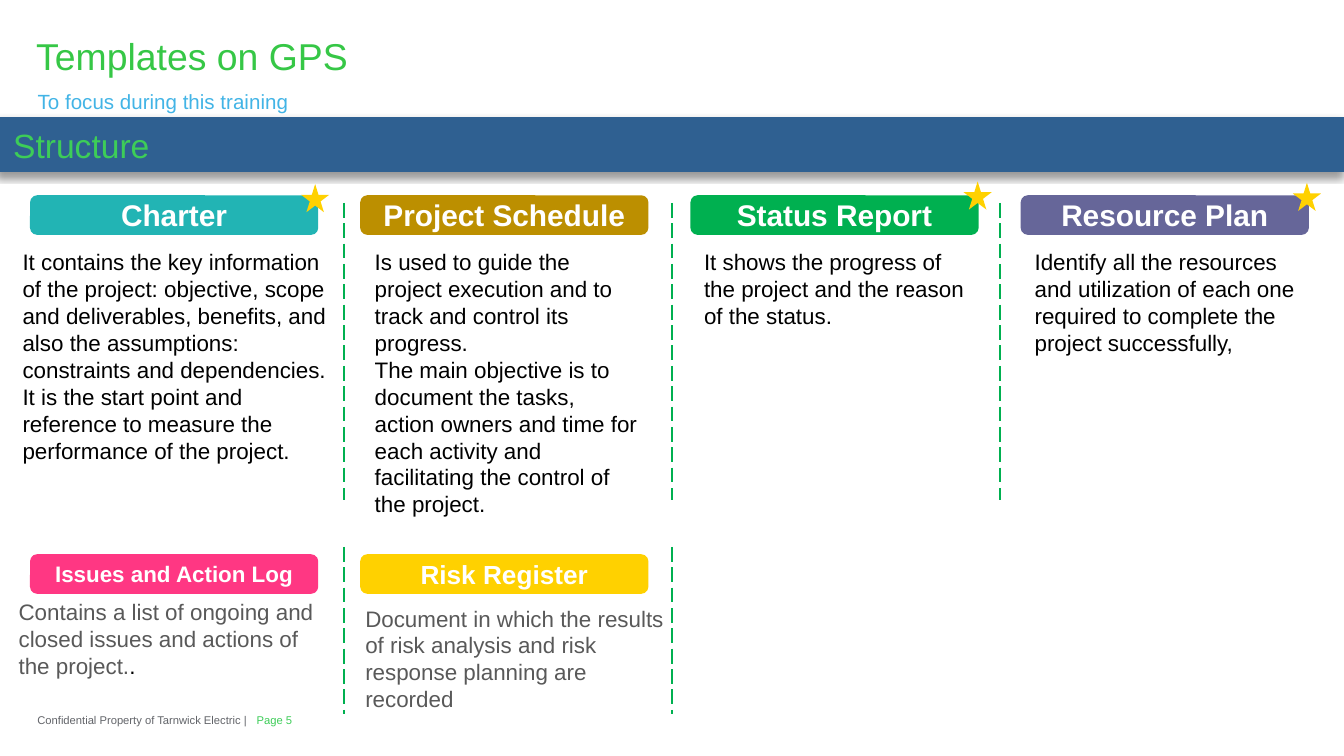
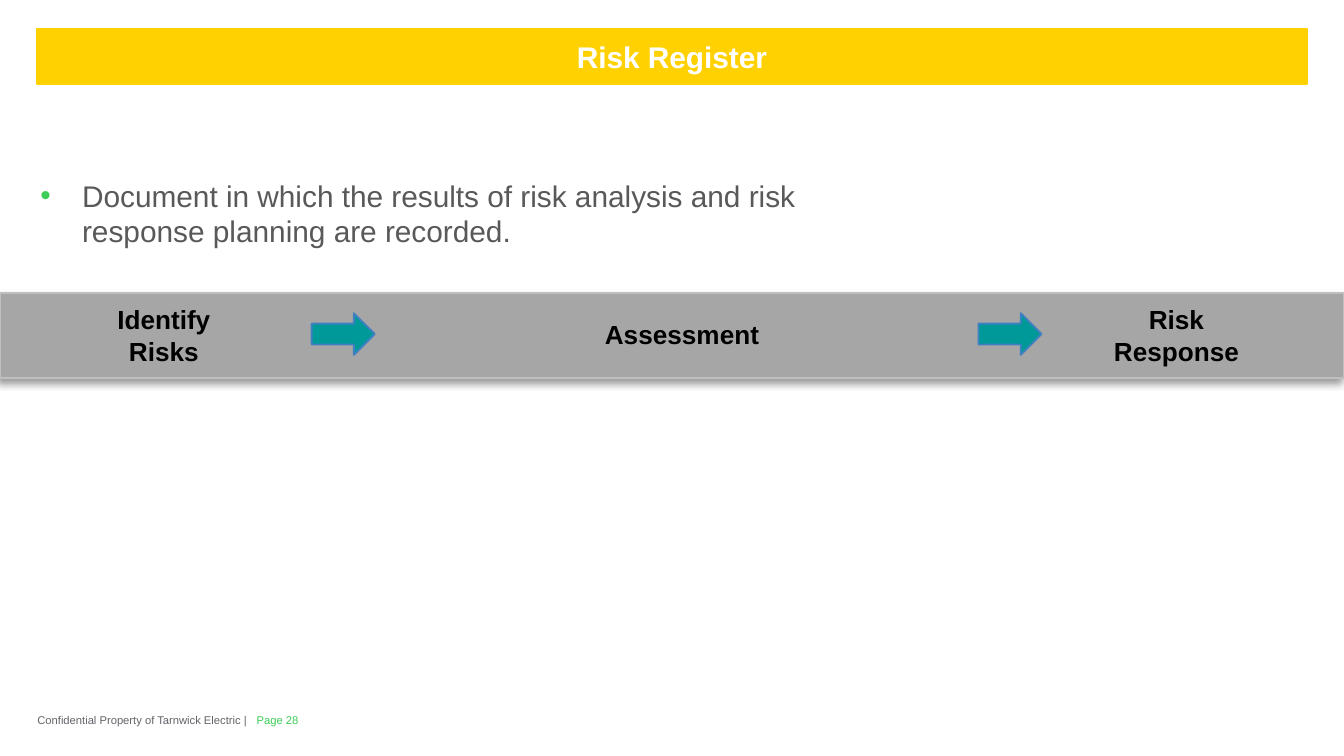
"""Build two slides on project templates and the risk register."""
from lxml import etree
from pptx import Presentation
from pptx.dml.color import RGBColor
from pptx.enum import dml, shapes, text
from pptx.oxml import ns
from pptx.util import Pt

HUES = {
    "title": "36C746", "sky": "42B4E6", "green": "3DCD58", "foot": "626469",
    "navy": "2F6091", "teal": "22B4B4", "gold": "BC8F00", "leaf": "00B050",
    "plum": "666699", "pink": "FF3783", "sun": "FFD100", "white": "FFFFFF",
    "black": "000000", "gray": "595959", "band": "A6A6A6", "edge": "BFBFBF",
    "arrow": "009999", "rim": "4080C0",
}
FONT = "Arial"
WIDE, HIGH = 720, 405
OWNER = "Confidential Property of Tarnwick Electric |"
RISK = "Document in which the results of risk analysis and risk response planning are recorded"
SHAPE = shapes.MSO_SHAPE
MID = text.MSO_ANCHOR.MIDDLE
LEFT, MIDDLE = text.PP_ALIGN.LEFT, text.PP_ALIGN.CENTER

CARD_X, CARD_W, CARD_H, CARD_STEP = 16.6, 153.4, 20.2, 176.9
RULE_X, RULE_STEP = 184.3, 175.7
# Each row: card top, rule ends, rule count, then cards.
ROWS = [
    {"top": 105.1, "rule": (108.7, 267.8), "rules": 3, "cards": [
        ("Charter", 16, "teal", (5, 129.6, 179.3, 124), [
            [("It contains the key information of the project: objective, scope and "
              "deliverables, benefits, and also the assumptions: constraints and "
              "dependencies.", "black")],
            [("It is the start point and reference to measure the performance of "
              "the project.", "black")]]),
        ("Project Schedule", 16, "gold", (193.7, 129.6, 155.5, 152.6), [
            [("Is used to guide the project execution and to track and control its "
              "progress.", "black")],
            [("The main objective is to document the tasks, action owners and time for "
              "each activity and facilitating the control of the project.", "black")]]),
        ("Status Report", 16, "leaf", (370.1, 129.6, 154.1, 65.5), [
            [("It shows the progress of the project and the reason of the status.",
              "black")]]),
        ("Resource Plan", 16, "plum", (547.2, 129.6, 154.1, 65.5), [
            [("Identify all the resources and utilization of each one required to "
              "complete the project successfully,", "black")]]),
    ]},
    {"top": 297.4, "rule": (293, 382.3), "rules": 2, "cards": [
        ("Issues and Action Log", 12, "pink", (2.9, 316.8, 179.3, 51), [
            [("Contains a list of ongoing and closed issues and actions of the project.",
              "gray"), (".", "black")]]),
        ("Risk Register", 14, "sun", (188.6, 320.4, 179.3, 65.5), [[(RISK, "gray")]]),
    ]},
]
STARS = [(161.3, 98.6), (516.2, 97.2), (692.6, 97.9)]
STEPS = [
    ("Identify Risks", (36.7, 159.1, 102.2, 41)),
    ("Assessment", (308.9, 167, 113, 24.5)),
    ("Risk Response", (573.8, 159.1, 113, 41)),
]
ARROWS = [167, 524.2]


def rgb(hue):
    return RGBColor.from_string(HUES[hue])


def place(part, box):
    part.left, part.top, part.width, part.height = map(Pt, box)


def write(part, paras, size, bold=False, align=LEFT, anchor=text.MSO_ANCHOR.TOP, flat=False):
    frame = part.text_frame
    frame.word_wrap = True
    frame.auto_size = text.MSO_AUTO_SIZE.NONE
    frame.vertical_anchor = anchor
    if flat:
        frame.margin_left = frame.margin_right = 0
        frame.margin_top = frame.margin_bottom = 0
    for i, runs in enumerate(paras):
        para = frame.add_paragraph() if i else frame.paragraphs[0]
        para.alignment = align
        for words, hue in runs:
            run = para.add_run()
            run.text = words
            run.font.name = FONT
            run.font.size = Pt(size)
            run.font.bold = bold
            run.font.color.rgb = rgb(hue)
    return frame


def label(slide, box, paras, size, **style):
    part = slide.shapes.add_textbox(*map(Pt, box))
    return write(part, paras, size, **style)


def paint(part, fill, line=None):
    part.fill.solid()
    part.fill.fore_color.rgb = rgb(fill)
    if line:
        part.line.color.rgb = rgb(line)
        part.line.width = Pt(1)
    else:
        part.line.fill.background()


def block(slide, kind, box, fill, line=None):
    part = slide.shapes.add_shape(kind, *map(Pt, box))
    part.shadow.inherit = False
    paint(part, fill, line)
    return part


def band(slide, top, high, fill, line):
    part = block(slide, SHAPE.RECTANGLE, (0, top, WIDE, high), fill, line)
    glow = part._element.spPr.find(ns.qn("a:effectLst"))
    cast = etree.SubElement(glow, ns.qn("a:outerShdw"), blurRad=str(Pt(4)),
                            dist=str(Pt(3)), dir="8100000", rotWithShape="0")
    tint = etree.SubElement(cast, ns.qn("a:srgbClr"), val=HUES["black"])
    etree.SubElement(tint, ns.qn("a:alpha"), val="40000")
    return part


def rule(slide, x, top, end):
    line = slide.shapes.add_connector(shapes.MSO_CONNECTOR.STRAIGHT,
                                      Pt(x), Pt(top), Pt(x), Pt(end))
    line.line.color.rgb = rgb("leaf")
    line.line.width = Pt(1)
    line.line.dash_style = dml.MSO_LINE.LONG_DASH
    etree.SubElement(line._element.spPr, ns.qn("a:effectLst"))


def start(deck, page):
    slide = deck.slides.add_slide(deck.slide_layouts[5])
    for x, wide, words, hue in ((137.5, 41, f"Page {page}", "green"),
                                (20, 118.8, OWNER, "foot")):
        label(slide, (x, 382.3, wide, 7.2), [[(words, hue)]], 6, anchor=MID, flat=True)
    return slide


def bullet(para):
    props = para._p.get_or_add_pPr()
    props.set("marL", str(Pt(23.8)))
    props.set("indent", str(-Pt(22.3)))
    para.space_before = para.space_after = Pt(5)
    tone = etree.SubElement(props, ns.qn("a:buClr"))
    etree.SubElement(tone, ns.qn("a:srgbClr"), val=HUES["green"])
    etree.SubElement(props, ns.qn("a:buFont"), typeface=FONT)
    etree.SubElement(props, ns.qn("a:buChar"), char="•")


def plans(deck):
    slide = start(deck, 5)
    title = slide.shapes.title
    place(title, (19.4, 18, 679.7, 24.5))
    write(title, [[("Templates on GPS", "title")]], 20, flat=True)
    label(slide, (20.2, 47.5, 679.7, 13.7),
          [[("To focus during this training", "sky")]], 11, flat=True)
    write(band(slide, 63.4, 28.1, "navy", "navy"), [[("Structure", "green")]], 18)
    for row in ROWS:
        for i, (name, size, hue, box, paras) in enumerate(row["cards"]):
            spot = (CARD_X + i * CARD_STEP, row["top"], CARD_W, CARD_H)
            card = block(slide, SHAPE.ROUNDED_RECTANGLE, spot, hue, hue)
            write(card, [[(name, "white")]], size, bold=True, align=MIDDLE, anchor=MID)
            label(slide, box, paras, 12)
        for i in range(row["rules"]):
            rule(slide, RULE_X + i * RULE_STEP, *row["rule"])
    for x, y in STARS:
        block(slide, SHAPE.STAR_5_POINT, (x, y, 15.1, 15.1), "sun")


def risks(deck):
    slide = start(deck, 28)
    title = slide.shapes.title
    place(title, (20, 15.5, 680, 29.5))
    paint(title, "sun", "sun")
    write(title, [[("Risk Register", "white")]], 16, bold=True, align=MIDDLE, anchor=MID)
    note = label(slide, (20.2, 95, 439.2, 67), [[(RISK + ".", "gray")]], 16, flat=True)
    bullet(note.paragraphs[0])
    band(slide, 157, 45.4, "band", "edge")
    for words, box in STEPS:
        label(slide, box, [[(words, "black")]], 14, bold=True, align=MIDDLE)
    for x in ARROWS:
        block(slide, SHAPE.RIGHT_ARROW, (x, 167.8, 33.8, 22.3), "arrow", "rim")


def main():
    deck = Presentation()
    deck.slide_width, deck.slide_height = Pt(WIDE), Pt(HIGH)
    plans(deck)
    risks(deck)
    deck.save("out.pptx")


if __name__ == "__main__":
    main()
